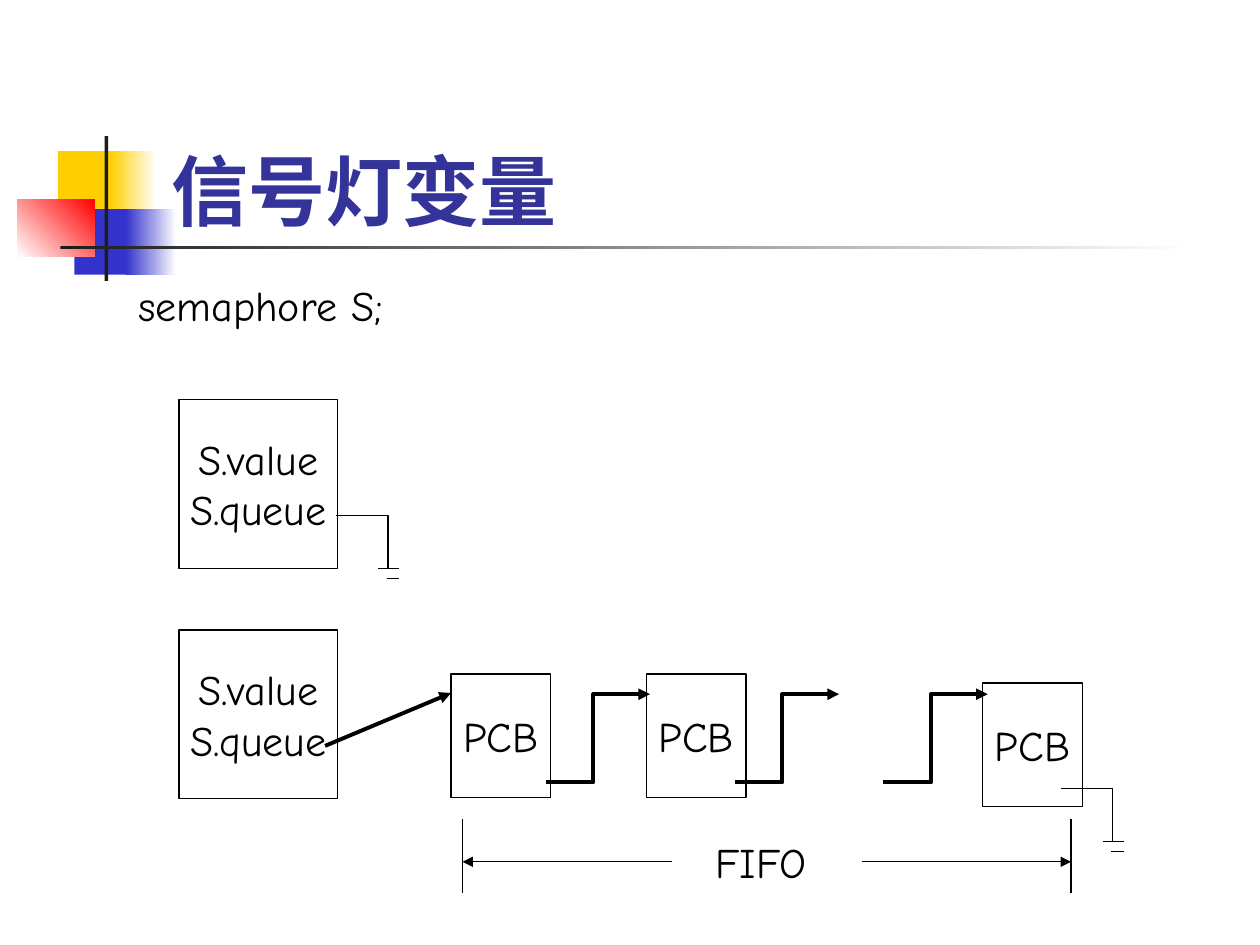
from lxml import etree
from pptx import Presentation
from pptx.dml.color import RGBColor
from pptx.enum.shapes import MSO_CONNECTOR, MSO_SHAPE
from pptx.enum.text import MSO_ANCHOR, PP_ALIGN
from pptx.oxml.ns import qn
from pptx.util import Inches, Pt

BLACK, WHITE, DARK = "000000", "FFFFFF", "1C1C1C"
YELLOW, BLUE, RED, TITLE = "FFCF01", "3333CC", "FF0000", "333399"
TEXT_FONT, TITLE_FONT = "Comic Neue", "Cabin"


def rgb(color):
    return RGBColor.from_string(color)


def add_rect(s, x, y, w, h):
    sp = s.shapes.add_shape(MSO_SHAPE.RECTANGLE, Inches(x), Inches(y), Inches(w), Inches(h))
    sp.shadow.inherit = False
    return sp


def color_block(s, x, y, w, h, start, end=None, angle=0):
    """Borderless block, solid or fading from start to end (angle counter-clockwise)."""
    sp = add_rect(s, x, y, w, h)
    sp.line.fill.background()
    if end is None:
        sp.fill.solid()
        sp.fill.fore_color.rgb = rgb(start)
    else:
        sp.fill.gradient()
        sp.fill.gradient_angle = angle
        for stop, color in zip(sp.fill.gradient_stops, (start, end)):
            stop.color.rgb = rgb(color)


def write(tf, lines, size=24, font=TEXT_FONT, color=BLACK, bold=False, align=PP_ALIGN.LEFT):
    for i, line in enumerate(lines):
        p = tf.paragraphs[0] if i == 0 else tf.add_paragraph()
        p.text = line
        p.alignment = align
        p.font.size = Pt(size)
        p.font.name = font
        p.font.bold = bold
        p.font.color.rgb = rgb(color)


def text_box(s, x, y, w, h, text, anchor=MSO_ANCHOR.TOP, **style):
    tf = s.shapes.add_textbox(Inches(x), Inches(y), Inches(w), Inches(h)).text_frame
    tf.word_wrap = True
    tf.vertical_anchor = anchor
    write(tf, [text], **style)


def outlined_box(s, x, y, w, h, lines):
    sp = add_rect(s, x, y, w, h)
    sp.fill.background()
    style_line(sp, 0.75)
    tf = sp.text_frame
    tf.word_wrap = False
    tf.vertical_anchor = MSO_ANCHOR.MIDDLE
    write(tf, lines, align=PP_ALIGN.CENTER)


def style_line(sp, width, arrow=False):
    sp.line.color.rgb = rgb(BLACK)
    sp.line.width = Pt(width)
    if arrow:
        etree.SubElement(sp.line._get_or_add_ln(), qn("a:tailEnd"), type="triangle")


def line(s, x1, y1, x2, y2, width=0.75, arrow=False):
    c = s.shapes.add_connector(
        MSO_CONNECTOR.STRAIGHT, Inches(x1), Inches(y1), Inches(x2), Inches(y2))
    style_line(c, width, arrow)
    etree.SubElement(c._element.spPr, qn("a:effectLst"))


def polyline(s, points, width=0.75, arrow=False):
    start, *rest = [(Inches(x), Inches(y)) for x, y in points]
    builder = s.shapes.build_freeform(*start)
    builder.add_line_segments(rest, close=False)
    sp = builder.convert_to_shape()
    sp.shadow.inherit = False
    sp.fill.background()
    style_line(sp, width, arrow)


def ground(s, x, y):
    """Null pointer drawn as an earth symbol, its wire starting at x, y."""
    end_x, end_y = x + 0.41, y + 0.42
    polyline(s, [(x, y), (end_x, y), (end_x, end_y)])
    line(s, end_x - 0.08, end_y, end_x + 0.09, end_y)
    line(s, end_x - 0.01, end_y + 0.08, end_x + 0.09, end_y + 0.08)


def step_arrow(s, x, top, w=0.83, h=0.7):
    turn = x + 0.38
    polyline(s, [(x, top + h), (turn, top + h), (turn, top), (x + w, top)], 2.25, arrow=True)


def header(s, x, y):
    """Colour blocks, rule and title; x, y is the top left of the ornament."""
    color_block(s, x + 0.32, y + 0.12, 0.48, 0.52, YELLOW)
    color_block(s, x + 0.74, y + 0.12, 0.36, 0.52, YELLOW, WHITE)
    color_block(s, x + 0.45, y + 0.58, 0.46, 0.52, BLUE)
    color_block(s, x + 0.86, y + 0.58, 0.4, 0.52, BLUE, WHITE)
    color_block(s, x, y + 0.5, 0.61, 0.46, WHITE, RED, angle=45)
    color_block(s, x + 0.69, y, 0.03, 1.15, DARK)
    color_block(s, x + 0.34, y + 0.87, 9, 0.03, DARK, WHITE)
    text_box(s, x + 1.12, y - 0.41, 8.52, 1.25, "信号灯变量", MSO_ANCHOR.BOTTOM,
             size=44, font=TITLE_FONT, color=TITLE, bold=True)


def semaphore(s, x, y):
    outlined_box(s, x, y, 1.26, 1.34, ["S.value", "S.queue"])


def waiting_queue(s, x, y):
    """Semaphore at x, y pointing to a chain of process control blocks."""
    semaphore(s, x, y)
    for dx, dy in ((2.16, 0.35), (3.71, 0.35), (6.38, 0.42)):
        outlined_box(s, x + dx, y + dy, 0.79, 0.98, ["PCB"])
    for dx in (2.91, 4.41, 5.59):
        step_arrow(s, x + dx, y + 0.51)
    line(s, x + 1.16, y + 0.92, x + 2.16, y + 0.5, 2.25, arrow=True)
    ground(s, x + 7, y + 1.26)


def fifo_dimension(s, left, top, right, h=0.59):
    middle = top + 0.34
    for x in (left, right):
        line(s, x, top, x, top + h)
    line(s, right - 1.66, middle, right, middle, arrow=True)
    line(s, left + 1.66, middle, left, middle, arrow=True)
    text_box(s, left + 1.91, top + 0.09, 1.17, 0.5, "FIFO")


def main():
    prs = Presentation()
    prs.slide_width, prs.slide_height = Inches(10), Inches(7.5)
    s = prs.slides.add_slide(prs.slide_layouts[6])
    header(s, 0.14, 1.08)
    text_box(s, 1, 2.17, 7.08, 0.5, "semaphore S;")
    semaphore(s, 1.42, 3.17)
    ground(s, 2.67, 4.09)
    waiting_queue(s, 1.42, 5)
    fifo_dimension(s, 3.67, 6.5, 8.5)
    prs.save("out.pptx")


if __name__ == "__main__":
    main()
